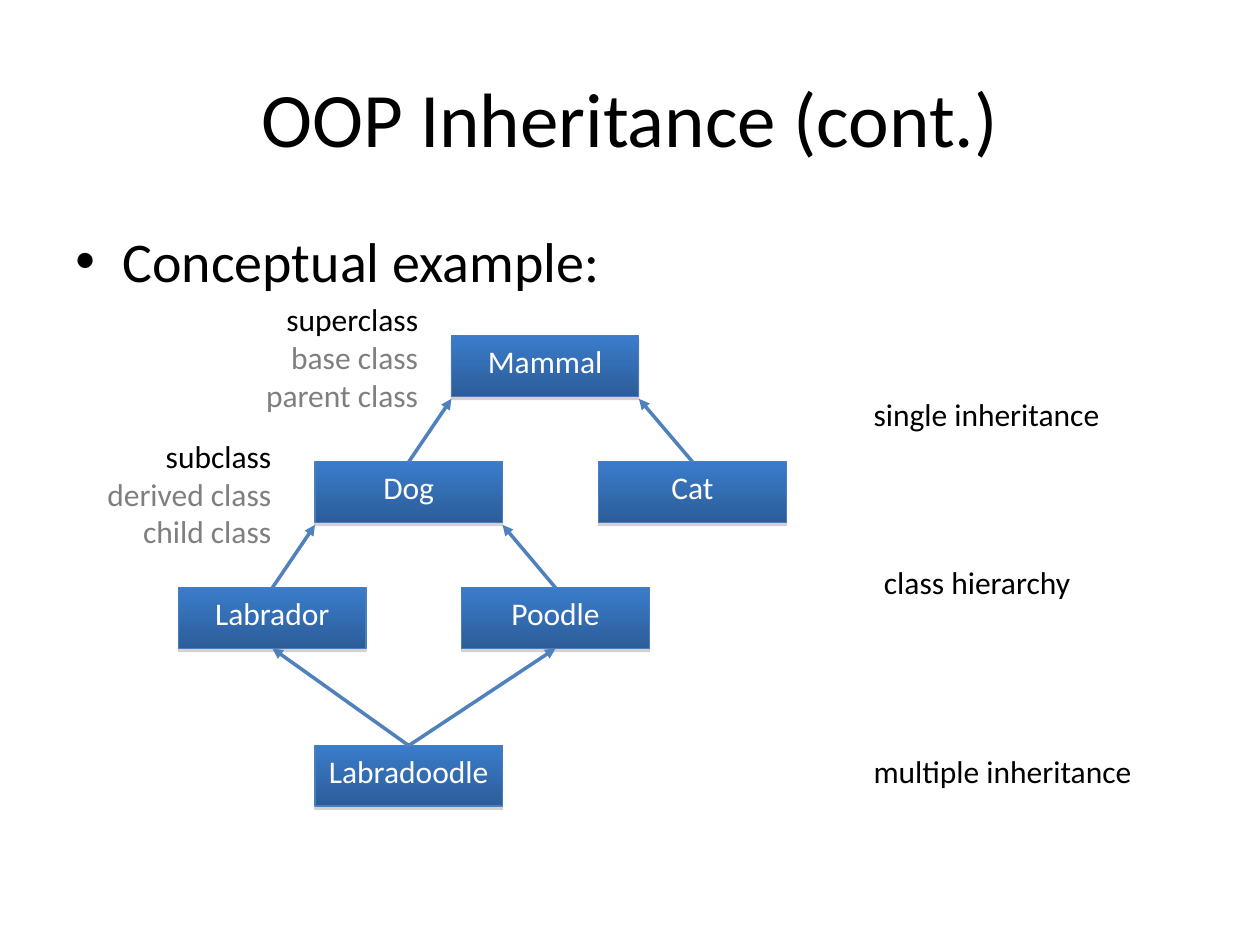
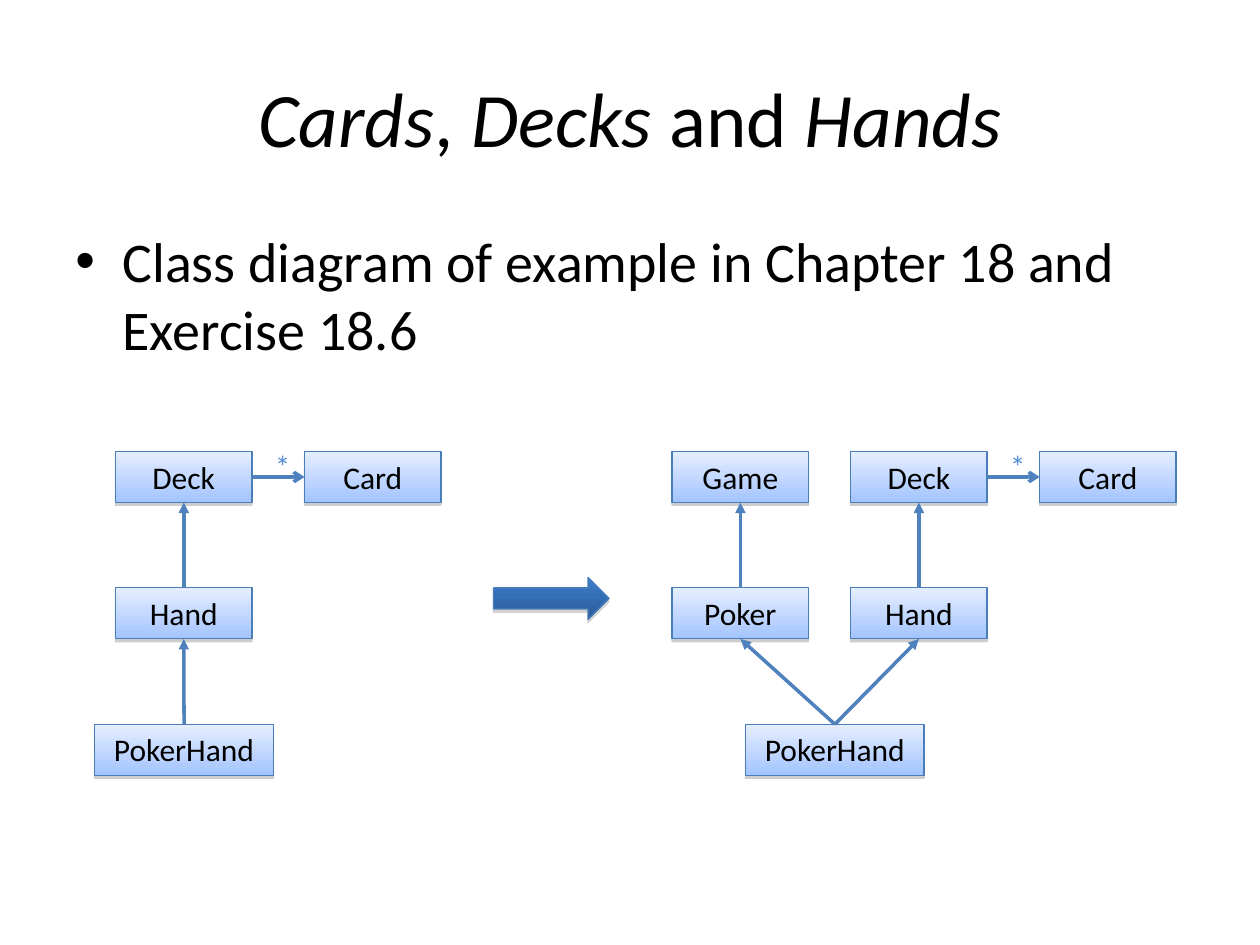
from dataclasses import dataclass
from typing import NamedTuple

from lxml import etree
from pptx import Presentation
from pptx.dml.color import RGBColor
from pptx.enum.shapes import MSO_CONNECTOR, MSO_SHAPE
from pptx.enum.text import MSO_ANCHOR, PP_ALIGN
from pptx.oxml.ns import qn
from pptx.shapes.autoshape import Shape
from pptx.shapes.connector import Connector
from pptx.slide import Slide
from pptx.text.text import TextFrame
from pptx.util import Cm, Pt

RECT = MSO_SHAPE.RECTANGLE
ARROW = MSO_SHAPE.RIGHT_ARROW
STRAIGHT = MSO_CONNECTOR.STRAIGHT
TOP, MIDDLE = MSO_ANCHOR.TOP, MSO_ANCHOR.MIDDLE
LEFT, CENTER, RIGHT = PP_ALIGN.LEFT, PP_ALIGN.CENTER, PP_ALIGN.RIGHT
NORTH, WEST, SOUTH, EAST = range(4)


class Skin(NamedTuple):
    start: str
    stop: str
    ink: str
    alpha: int
    drop: float


@dataclass(frozen=True)
class Theme:
    font: str = "Calibri"
    title: int = 44
    body: int = 32
    label: int = 18
    ink: str = "000000"
    gray: str = "7F7F7F"
    star: str = "558ED5"
    edge: str = "4A7EBB"
    link: str = "4F81BD"
    shade: str = "808080"
    dark: Skin = Skin("3A7CCB", "2C5D98", "FFFFFF", 35, 1.8)
    light: Skin = Skin("E5EEFF", "A3C4FF", "000000", 38, 1.6)


THEME = Theme()


class Box(NamedTuple):
    x: float
    y: float
    w: float
    h: float


class Part(NamedTuple):
    text: str
    color: str = THEME.ink
    slant: bool = False


class Node(NamedTuple):
    text: str
    x: float
    y: float


class Note(NamedTuple):
    lines: list[list[Part]]
    box: Box
    align: PP_ALIGN = LEFT


def place(box: Box) -> list[int]:
    return [Cm(side) for side in box]


def write(frame: TextFrame, lines: list[list[Part]], size: int, align: PP_ALIGN) -> None:
    frame.word_wrap = True
    for row, parts in enumerate(lines):
        para = frame.paragraphs[0] if row == 0 else frame.add_paragraph()
        para.alignment = align
        for part in parts:
            run = para.add_run()
            run.text = part.text
            run.font.name = THEME.font
            run.font.size = Pt(size)
            run.font.italic = part.slant
            run.font.color.rgb = RGBColor.from_string(part.color)


def add_note(slide: Slide, note: Note, size: int = THEME.label) -> Shape:
    shape = slide.shapes.add_textbox(*place(note.box))
    write(shape.text_frame, note.lines, size, note.align)
    return shape


def add_page(deck: Presentation, title: list[Part], point: str) -> Slide:
    slide = deck.slides.add_slide(deck.slide_layouts[5])
    head = slide.shapes.title
    head.left, head.top, head.width, head.height = place(Box(1.27, 0.76, 22.86, 3.18))
    head.text_frame.vertical_anchor = MIDDLE
    write(head.text_frame, [title], THEME.title, CENTER)
    body = add_note(slide, Note([[Part(point)]], Box(1.27, 4.45, 22.86, 12.57)), THEME.body)
    props = body.text_frame.paragraphs[0]._p.get_or_add_pPr()
    props.set("marL", str(Cm(0.95)))
    props.set("indent", str(-Cm(0.95)))
    etree.SubElement(props, qn("a:buFont"), typeface="Arial")
    etree.SubElement(props, qn("a:buChar"), char="•")
    return slide


def add_block(slide: Slide, kind: MSO_SHAPE, box: Box, skin: Skin, text: str = "") -> Shape:
    shape = slide.shapes.add_shape(kind, *place(box))
    shape.fill.gradient()
    shape.fill.gradient_angle = 270
    for stop, color in zip(shape.fill.gradient_stops, (skin.start, skin.stop)):
        stop.color.rgb = RGBColor.from_string(color)
    shape.line.color.rgb = RGBColor.from_string(THEME.edge)
    shape.line.width = Pt(0.75)
    shape.shadow.inherit = False
    fx = shape._element.spPr.find(qn("a:effectLst"))
    cast = etree.SubElement(fx, qn("a:outerShdw"), blurRad="0", dist=str(Pt(skin.drop)),
                            dir="5400000", rotWithShape="0")
    tint = etree.SubElement(cast, qn("a:srgbClr"), val=THEME.shade)
    etree.SubElement(tint, qn("a:alpha"), val=str(skin.alpha * 1000))
    if text:
        shape.text_frame.vertical_anchor = TOP
        write(shape.text_frame, [[Part(text, skin.ink)]], THEME.label, CENTER)
    return shape


def add_line(slide: Slide, x: int, y: int, tip: str = "triangle") -> Connector:
    line = slide.shapes.add_connector(STRAIGHT, x, y, x, y)
    line.line.color.rgb = RGBColor.from_string(THEME.link)
    line.line.width = Pt(2)
    etree.SubElement(line.line._get_or_add_ln(), qn("a:tailEnd"), type=tip)
    etree.SubElement(line._element.spPr, qn("a:effectLst"))
    return line


def join(slide: Slide, child: Shape, base: Shape, out: int = NORTH, into: int = SOUTH,
         tip: str = "triangle") -> None:
    line = add_line(slide, base.left, base.top, tip)
    line.begin_connect(child, out)
    line.end_connect(base, into)


def join_corner(slide: Slide, child: Shape, base: Shape, side: int) -> None:
    x = base.left + (base.width if side == EAST else 0)
    line = add_line(slide, x, base.top + base.height + Cm(0.05))
    line.begin_connect(child, NORTH)


def draw_tree(deck: Presentation) -> None:
    slide = add_page(deck, [Part("OOP Inheritance (cont.)")], "Conceptual example:")
    nodes = [
        Node("Mammal", 9.1, 6.77),
        Node("Dog", 6.35, 9.31),
        Node("Cat", 12.07, 9.31),
        Node("Labrador", 3.6, 11.85),
        Node("Poodle", 9.31, 11.85),
        Node("Labradoodle", 6.35, 15.03),
    ]
    kin = {n.text: add_block(slide, RECT, Box(n.x, n.y, 3.78, 1.22), THEME.dark, n.text)
           for n in nodes}
    for child, base, side in [("Dog", "Mammal", WEST), ("Cat", "Mammal", EAST),
                              ("Poodle", "Dog", EAST), ("Labrador", "Dog", WEST)]:
        join_corner(slide, kin[child], kin[base], side)
    for base in ("Labrador", "Poodle"):
        join(slide, kin["Labradoodle"], kin[base])
    gray = THEME.gray
    for note in [
        Note([[Part("single inheritance")]], Box(17.36, 7.83, 5.29, 1.03)),
        Note([[Part("class hierarchy")]], Box(17.57, 11.22, 5.29, 1.03)),
        Note([[Part("multiple inheritance")]], Box(17.36, 15.03, 5.72, 1.03)),
        Note([[Part("superclass "), Part("base class", gray)], [Part("parent class", gray)]],
             Box(5.08, 5.93, 3.6, 2.54), RIGHT),
        Note([[Part("subclass "), Part("derived class", gray)], [Part("child class", gray)]],
             Box(1.7, 8.68, 4.02, 2.54), RIGHT),
    ]:
        add_note(slide, note)


ROWS = [9.1 + 2.75 * row for row in range(3)]


def add_class(slide: Slide, text: str, x: float, row: int, wide: float = 2.75) -> Shape:
    return add_block(slide, RECT, Box(x, ROWS[row], wide, 1.03), THEME.light, text)


def add_stack(slide: Slide, upper: str, lower: str, x: float) -> tuple[Shape, Shape]:
    base = add_class(slide, upper, x, 0)
    child = add_class(slide, lower, x, 1)
    join(slide, child, base)
    return base, child


def add_cards(slide: Slide, x: float) -> Shape:
    pack, hand = add_stack(slide, "Deck", "Hand", x)
    card = add_class(slide, "Card", x + 3.81, 0)
    join(slide, pack, card, EAST, WEST, "arrow")
    add_note(slide, Note([[Part("*", THEME.star)]], Box(x + 2.96, 8.89, 0.85, 1.03)))
    return hand


def add_final(slide: Slide, x: float, bases: list[Shape]) -> None:
    child = add_class(slide, "PokerHand", x, 2, 3.6)
    for base in bases:
        join(slide, child, base)


def draw_cards(deck: Presentation) -> None:
    title = [Part("Cards", slant=True), Part(", "), Part("Decks ", slant=True),
             Part("and "), Part("Hands", slant=True)]
    slide = add_page(deck, title, "Class diagram of example in Chapter 18 and Exercise 18.6")
    add_final(slide, 1.91, [add_cards(slide, 2.33)])
    hand = add_cards(slide, 17.15)
    poker = add_stack(slide, "Game", "Poker", 13.55)[1]
    add_final(slide, 15.03, [hand, poker])
    add_block(slide, ARROW, Box(9.95, 11.64, 2.33, 0.85), THEME.dark)


def main() -> None:
    deck = Presentation()
    deck.slide_width, deck.slide_height = Cm(25.4), Cm(19.05)
    draw_tree(deck)
    draw_cards(deck)
    deck.save("out.pptx")


if __name__ == "__main__":
    main()
